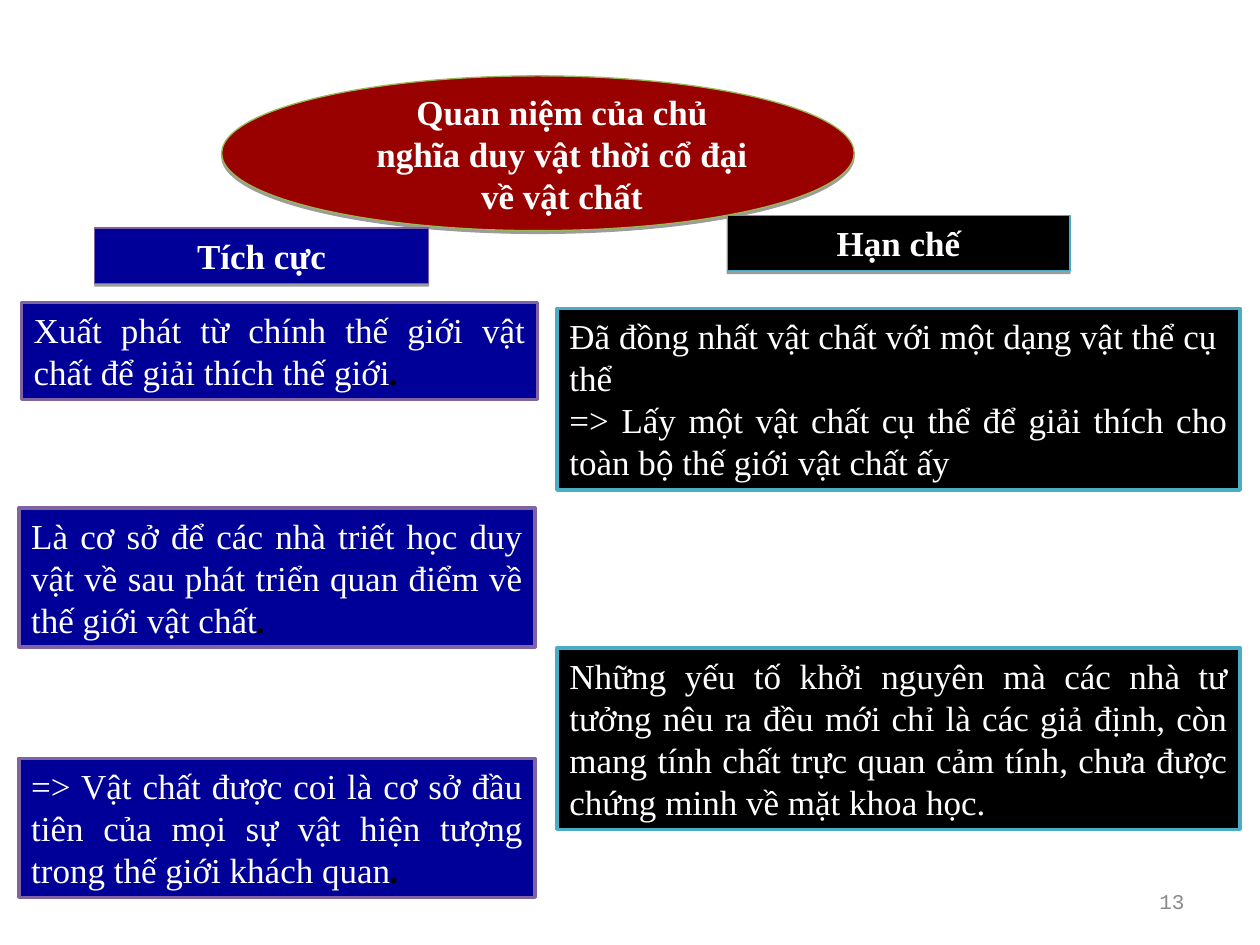
from lxml.etree import SubElement
from pptx import Presentation
from pptx.dml.color import RGBColor
from pptx.enum.shapes import MSO_SHAPE as Shape
from pptx.enum.text import MSO_ANCHOR as Anchor, MSO_AUTO_SIZE as AutoSize, PP_ALIGN as Align
from pptx.oxml.ns import qn
from pptx.util import Cm, Pt

COLORS = {
    "white": "FFFFFF", "black": "000000", "red": "990000", "green": "98B954",
    "blue": "000099", "purple": "8064A2", "dark purple": "7D60A0",
    "teal": "4BACC6", "dark teal": "46AAC5", "grey": "898989",
}


def color(name):
    return RGBColor.from_string(COLORS[name])


class PageBuilder:
    serif = "Times New Roman"
    mono = "Courier New"
    size = 20

    def __init__(self, page):
        self.page = page

    def add_span(self, para, text, shade="white", bold=False, italic=False, font=None, size=None):
        span = para.add_run()
        span.text = text
        span.font.name = font or self.serif
        span.font.size = Pt(size or self.size)
        span.font.bold = bold
        span.font.italic = italic
        span.font.color.rgb = color(shade)

    def add_block(self, kind, place, fill, line, weight):
        block = self.page.shapes.add_shape(kind, *map(Cm, place))
        block.shadow.inherit = False
        block.fill.solid()
        block.fill.fore_color.rgb = color(fill)
        block.line.color.rgb = color(line)
        block.line.width = Pt(weight)
        frame = block.text_frame
        frame.word_wrap = True
        frame.vertical_anchor = Anchor.TOP
        return block

    def add_shadow(self, block):
        effects = block._element.spPr.find(qn("a:effectLst"))
        shadow = SubElement(effects, qn("a:outerShdw"), blurRad="0", dist=str(Pt(1.6)),
                            dir="5400000", rotWithShape="0")
        shade = SubElement(shadow, qn("a:srgbClr"), val=COLORS["black"])
        SubElement(shade, qn("a:alpha"), val="38000")

    def add_heading(self, kind, place, fill, line, text):
        block = self.add_block(kind, place, fill, line, 0.75)
        self.add_shadow(block)
        para = block.text_frame.paragraphs[0]
        para.alignment = Align.CENTER
        self.add_span(para, text, bold=True)
        return block

    def add_title(self, place, text):
        block = self.add_heading(Shape.OVAL, place, "red", "green", text)
        block.text_frame.vertical_anchor = Anchor.MIDDLE
        para = block.text_frame.paragraphs[0]
        para._p.get_or_add_pPr().set("marL", str(Cm(0.97)))

    def add_panel(self, place, fill, line, paragraphs, stop=""):
        block = self.add_block(Shape.RECTANGLE, place, fill, line, 2)
        frame = block.text_frame
        frame.auto_size = AutoSize.SHAPE_TO_FIT_TEXT
        for index, (text, align) in enumerate(paragraphs):
            para = frame.add_paragraph() if index else frame.paragraphs[0]
            para.alignment = align
            self.add_span(para, text)
            if stop:
                self.add_span(para, stop, "black", bold=True, italic=True)

    def add_page_number(self, place, text):
        box = self.page.shapes.add_textbox(*map(Cm, place))
        box.text_frame.word_wrap = True
        box.text_frame.vertical_anchor = Anchor.MIDDLE
        para = box.text_frame.paragraphs[0]
        para.alignment = Align.RIGHT
        self.add_span(para, text, "grey", font=self.mono, size=12)


def main():
    deck = Presentation()
    deck.slide_width, deck.slide_height = Cm(25.4), Cm(19.05)
    builder = PageBuilder(deck.slides.add_slide(deck.slide_layouts[6]))

    builder.add_title((4.47, 1.53, 12.75, 3.12),
                      "Quan niệm của chủ nghĩa duy vật thời cổ đại về vật chất")
    builder.add_heading(Shape.RECTANGLE, (1.91, 4.6, 6.73, 1.11), "blue", "dark purple", "Tích cực")
    builder.add_heading(Shape.RECTANGLE, (14.66, 4.35, 6.91, 1.11), "black", "dark teal", "Hạn chế")

    strengths = [
        (0.43, 6.1, 1.96, "Xuất phát từ chính thế giới vật chất để giải thích thế giới"),
        (0.38, 10.24, 2.8, "Là cơ sở để các nhà triết học duy vật về sau phát triển "
                           "quan điểm về thế giới vật chất"),
        (0.38, 15.29, 2.8, "=> Vật chất được coi là cơ sở đầu tiên của mọi sự vật "
                           "hiện tượng trong thế giới khách quan"),
    ]
    for left, top, height, text in strengths:
        builder.add_panel((left, top, 10.41, height), "blue", "purple",
                          [(text, Align.JUSTIFY)], stop=".")

    limits = [
        (6.22, [("Đã đồng nhất vật chất với một dạng vật thể cụ thể", Align.LEFT),
                ("=> Lấy một vật chất cụ thể để giải thích cho toàn bộ thế giới vật chất ấy",
                 Align.JUSTIFY)]),
        (13.06, [("Những yếu tố khởi nguyên mà các nhà tư tưởng nêu ra đều mới chỉ là các "
                  "giả định, còn mang tính chất trực quan cảm tính, chưa được chứng minh "
                  "về mặt khoa học.", Align.JUSTIFY)]),
    ]
    for top, paragraphs in limits:
        builder.add_panel((11.23, top, 13.77, 3.66), "black", "teal", paragraphs)

    builder.add_page_number((18.21, 17.65, 5.92, 1.02), "13")
    deck.save("out.pptx")


if __name__ == "__main__":
    main()
